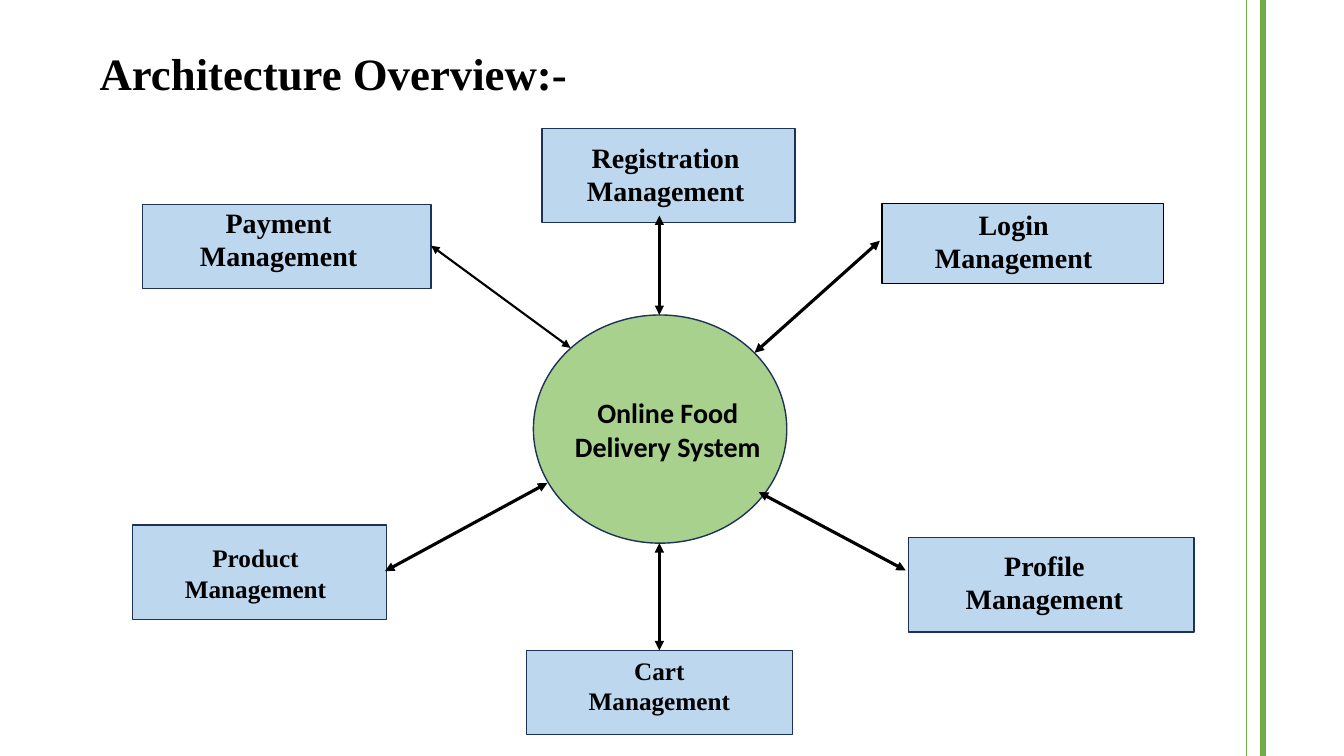
from lxml import etree
from pptx import Presentation
from pptx import util as u
from pptx.dml.color import RGBColor
from pptx.enum import shapes, text
from pptx.oxml.ns import qn

Pt = u.Pt
W, H = 960, 540
SERIF = "Times New Roman"
NAVY, BLACK, BLUE, GREEN = "1E3256", "000000", "BDD7EE", "A9D18E"
RECT, OVAL = shapes.MSO_SHAPE.RECTANGLE, shapes.MSO_SHAPE.OVAL

# (label, box, label offset and width, size, outline)
MODULES = [
    ("Registration Management", (387, 92, 181, 67), (12, 4.5, 153), 20, NAVY),
    ("Payment Management", (102, 146, 206, 60), (9, -3, 176), 20, NAVY),
    ("Product Management", (94.5, 375, 181.5, 67.5), (15.5, 9, 145), 18, NAVY),
    ("Login Management", (630, 145.5, 201, 57), (17, -1, 154), 20, BLACK),
    ("Profile Management", (649, 384, 204, 67.5), (11.5, 4, 171), 20, NAVY),
    ("Cart Management", (376, 464.5, 190, 60), (25, 0, 140), 18, NAVY),
]
ARROWS = [
    ((471, 154), (471, 225), 2.25),
    ((628.5, 172), (539, 252), 2.25),
    ((407.5, 248.5), (308, 175.5), 1.5),
    ((391, 345), (275, 408), 2.25),
    ((471, 388), (471, 464.5), 2.25),
    ((542, 351.5), (647, 407.5), 2.25),
]


def color(value):
    return RGBColor.from_string(value)


def add_text(s, box, words, size, font=SERIF, align=text.PP_ALIGN.CENTER):
    tf = s.shapes.add_textbox(*map(Pt, box)).text_frame
    tf.word_wrap = True
    p = tf.paragraphs[0]
    p.text = words
    p.alignment = align
    r = p.runs[0]
    r.font.name, r.font.size, r.font.bold = font, Pt(size), True
    r.font.color.rgb = color(BLACK)


def add_node(s, kind, box, fill, outline, label, inset, size, font=SERIF):
    x, y, w, h = box
    dx, dy, label_w = inset
    sp = s.shapes.add_shape(kind, *map(Pt, box))
    sp.shadow.inherit = False
    sp.fill.solid()
    sp.fill.fore_color.rgb = color(fill)
    sp.line.color.rgb = color(outline)
    sp.line.width = Pt(1)
    add_text(s, (x + dx, y + dy, label_w, h), label, size, font)


def add_line(s, start, end, stroke, width, arrows=False):
    cx = s.shapes.add_connector(shapes.MSO_CONNECTOR.STRAIGHT, *map(Pt, start + end))
    cx.line.color.rgb = color(stroke)
    cx.line.width = Pt(width)
    if arrows:
        ln = cx.line._get_or_add_ln()
        for tag in ("a:headEnd", "a:tailEnd"):
            etree.SubElement(ln, qn(tag), type="triangle")
    etree.SubElement(cx._element.spPr, qn("a:effectLst"))


def add_diagram(s):
    add_node(s, OVAL, (381, 225, 181, 163), GREEN, NAVY,
             "Online Food Delivery System", (14, 54, 164), 20, "Calibri")
    for label, box, inset, size, outline in MODULES:
        add_node(s, RECT, box, BLUE, outline, label, inset, size)
    for start, end, width in ARROWS:
        add_line(s, start, end, BLACK, width, arrows=True)


def add_side_rules(s):
    for x, width in ((902, 4.5), (890.5, 0.5)):
        add_line(s, (x, 0), (x, H), "70AD47", width)


def main():
    prs = Presentation()
    prs.slide_width, prs.slide_height = Pt(W), Pt(H)
    s = prs.slides.add_slide(prs.slide_layouts[6])
    add_text(s, (64, 29, 832, 68), "Architecture Overview:-", 32,
             align=text.PP_ALIGN.LEFT)
    add_diagram(s)
    add_side_rules(s)
    prs.save("out.pptx")


if __name__ == "__main__":
    main()
